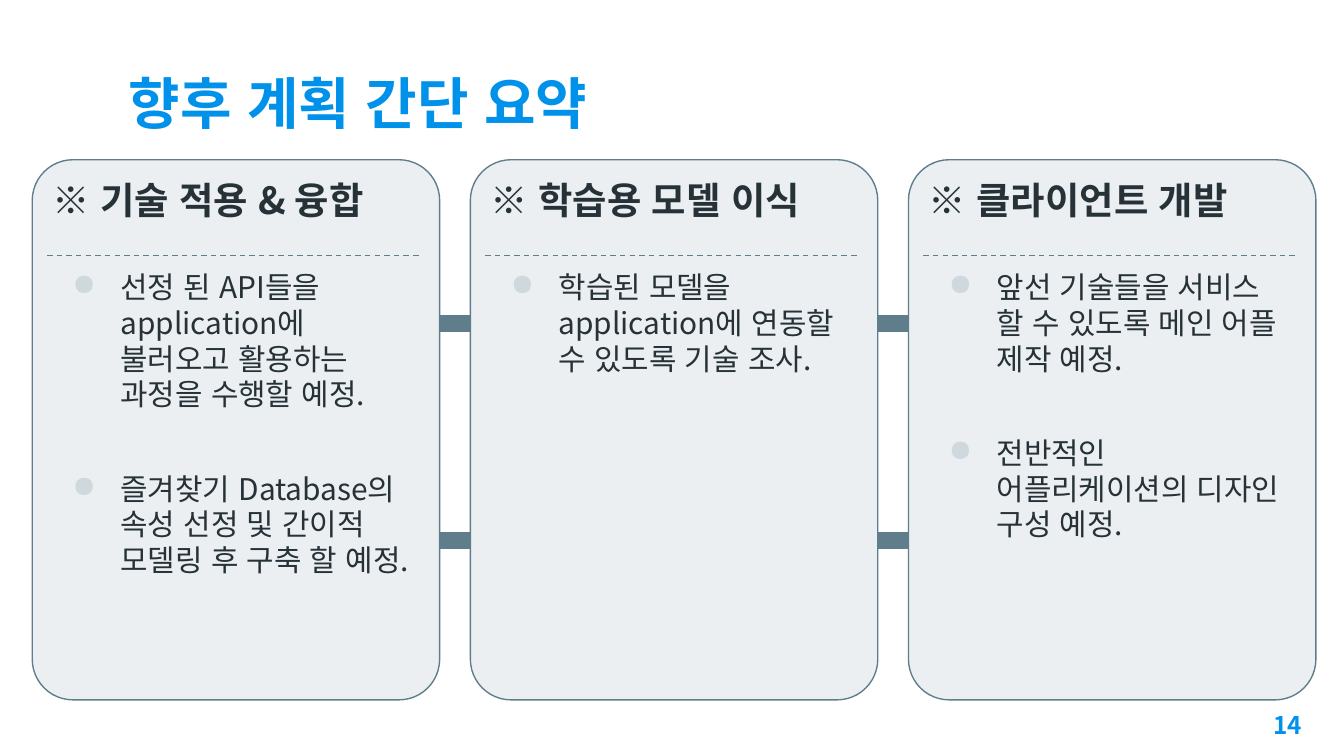
from dataclasses import dataclass

from lxml import etree
from pptx import Presentation
from pptx.dml.color import RGBColor
from pptx.enum.dml import MSO_LINE_DASH_STYLE
from pptx.enum.lang import MSO_LANGUAGE_ID
from pptx.enum.shapes import MSO_CONNECTOR_TYPE, MSO_SHAPE
from pptx.enum.text import MSO_ANCHOR, MSO_AUTO_SIZE, PP_ALIGN
from pptx.oxml.ns import qn
from pptx.slide import Slide
from pptx.text.text import TextFrame, _Paragraph
from pptx.util import Cm, Pt

ROUNDED = MSO_SHAPE.ROUNDED_RECTANGLE
STRAIGHT = MSO_CONNECTOR_TYPE.STRAIGHT
DASH = MSO_LINE_DASH_STYLE.DASH
KOREAN = MSO_LANGUAGE_ID.KOREAN
TOP, BOTTOM = MSO_ANCHOR.TOP, MSO_ANCHOR.BOTTOM
LEFT, RIGHT = PP_ALIGN.LEFT, PP_ALIGN.RIGHT
NO_AUTOFIT = MSO_AUTO_SIZE.NONE

BLUE = RGBColor(0x00, 0x91, 0xEA)
SLATE = RGBColor(0x60, 0x7D, 0x8B)
PALE = RGBColor(0xEC, 0xEF, 0xF1)
BULLET_GREY = RGBColor(0xCF, 0xD8, 0xDC)
INK = RGBColor(0x26, 0x32, 0x38)

FONT = "Noto Sans CJK KR"
LINE_FACTOR = 1.2
PANEL_LEFT, PANEL_TOP = 0.61, 3.02
PANEL_WIDTH, PANEL_HEIGHT = 7.7, 10.21
PANEL_PITCH = 8.28
RULE_TOP = 4.83
RAIL_TOPS = (6.12, 10.21)
ITEM_GAP = Pt(31.2)


@dataclass(frozen=True)
class Panel:
    """One column with a heading and bulleted items."""

    heading: str
    items: tuple[str, ...]


@dataclass(frozen=True)
class TextStyle:
    """Look of a run and its line."""

    size: float
    color: RGBColor
    bold: bool = False


TITLE_STYLE = TextStyle(30, BLUE, True)
NUMBER_STYLE = TextStyle(13, BLUE, True)
HEADING_STYLE = TextStyle(20, INK, True)
ITEM_STYLE = TextStyle(16, INK)

PANELS = (
    Panel("※ 기술 적용 & 융합", (
        "선정 된 API들을 application에 불러오고 활용하는 과정을 수행할 예정.",
        "즐겨찾기 Database의 속성 선정 및 간이적 모델링 후 구축 할 예정.",
    )),
    Panel("※ 학습용 모델 이식", (
        "학습된 모델을 application에 연동할 수 있도록 기술 조사.",
    )),
    Panel("※ 클라이언트 개발", (
        "앞선 기술들을 서비스 할 수 있도록 메인 어플 제작 예정.",
        "전반적인 어플리케이션의 디자인 구성 예정.",
    )),
)


def prepare_frame(frame: TextFrame, anchor: MSO_ANCHOR = TOP) -> None:
    """Set wrapping, anchor and equal insets."""
    frame.word_wrap = True
    frame.auto_size = NO_AUTOFIT
    frame.vertical_anchor = anchor
    frame.margin_left = frame.margin_right = Cm(0.25)
    frame.margin_top = frame.margin_bottom = Cm(0.25)


def write(para: _Paragraph, text: str, style: TextStyle,
          align: PP_ALIGN = LEFT) -> None:
    """Add one styled run to a paragraph."""
    para.alignment = align
    para.line_spacing = Pt(style.size * LINE_FACTOR)
    para.space_before = Pt(0)
    span = para.add_run()
    span.text = text
    font = span.font
    font.name, font.size, font.bold = FONT, Pt(style.size), style.bold
    font.color.rgb = style.color
    font.language_id = KOREAN
    east_asian = etree.SubElement(font._element, qn("a:ea"))
    east_asian.set("typeface", FONT)


def add_bullet(para: _Paragraph) -> None:
    """Give a paragraph a grey dot and a hanging indent."""
    props = para._p.get_or_add_pPr()
    props.set("marL", str(Cm(1.27)))
    props.set("indent", str(Cm(-0.91)))
    color = etree.SubElement(props, qn("a:buClr"))
    etree.SubElement(color, qn("a:srgbClr")).set("val", str(BULLET_GREY))
    etree.SubElement(props, qn("a:buChar")).set("char", "●")


def add_box(page: Slide, left: float, top: float, width: float,
            height: float) -> TextFrame:
    """Add a text box and return its prepared frame."""
    box = page.shapes.add_textbox(Cm(left), Cm(top), Cm(width), Cm(height))
    prepare_frame(box.text_frame)
    return box.text_frame


def add_line(page: Slide, left: float, right: float, top: float,
             weight: float, dashed: bool = False) -> None:
    """Draw a horizontal slate line."""
    line = page.shapes.add_connector(
        STRAIGHT, Cm(left), Cm(top), Cm(right), Cm(top))
    line.line.color.rgb = SLATE
    line.line.width = Pt(weight)
    if dashed:
        line.line.dash_style = DASH
    etree.SubElement(line._element.spPr, qn("a:effectLst"))


def add_panel(page: Slide, panel: Panel, left: float) -> None:
    """Draw a rounded panel with its heading, rule and items."""
    card = page.shapes.add_shape(ROUNDED, Cm(left), Cm(PANEL_TOP),
                                 Cm(PANEL_WIDTH), Cm(PANEL_HEIGHT))
    card.adjustments[0] = 0.1
    card.shadow.inherit = False
    card.fill.solid()
    card.fill.fore_color.rgb = PALE
    card.line.color.rgb = SLATE
    card.line.width = Pt(0.75)

    body = add_box(page, left + 0.15, RULE_TOP, 7.34, 8.18)
    for index, item in enumerate(panel.items):
        para = body.add_paragraph() if index else body.paragraphs[0]
        write(para, item, ITEM_STYLE)
        if index:
            para.space_before = ITEM_GAP
        add_bullet(para)

    heading = add_box(page, left + 0.13, 3.1, 7.42, 1.5)
    write(heading.paragraphs[0], panel.heading, HEADING_STYLE)
    add_line(page, left + 0.28, left + 7.34, RULE_TOP, 0.75, dashed=True)


def add_title(page: Slide, text: str) -> None:
    """Place and fill the title placeholder."""
    title = page.shapes.title
    title.left, title.top = Cm(2.18), Cm(0.86)
    title.width, title.height = Cm(21.03), Cm(1.96)
    prepare_frame(title.text_frame, BOTTOM)
    write(title.text_frame.paragraphs[0], text, TITLE_STYLE)


def main() -> None:
    """Build and save the deck."""
    deck = Presentation()
    deck.slide_width, deck.slide_height = Cm(25.4), Cm(14.29)
    page = deck.slides.add_slide(deck.slide_layouts[5])
    add_title(page, "향후 계획 간단 요약")
    for top in RAIL_TOPS:
        add_line(page, 4.42, 21.06, top, 9)
    for index, panel in enumerate(PANELS):
        add_panel(page, panel, PANEL_LEFT + index * PANEL_PITCH)
    number = add_box(page, 23.34, 13.18, 1.52, 1.09)
    write(number.paragraphs[0], "14", NUMBER_STYLE, RIGHT)
    deck.save("out.pptx")


main()
